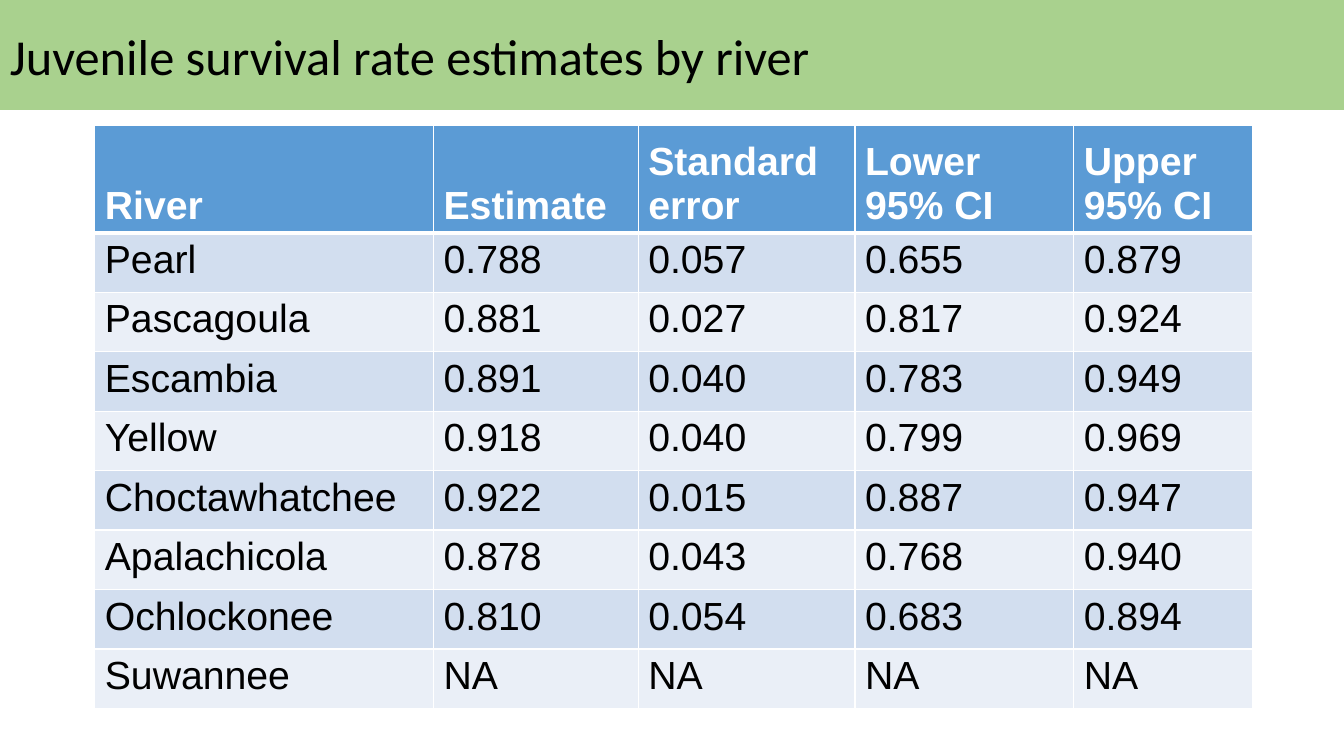
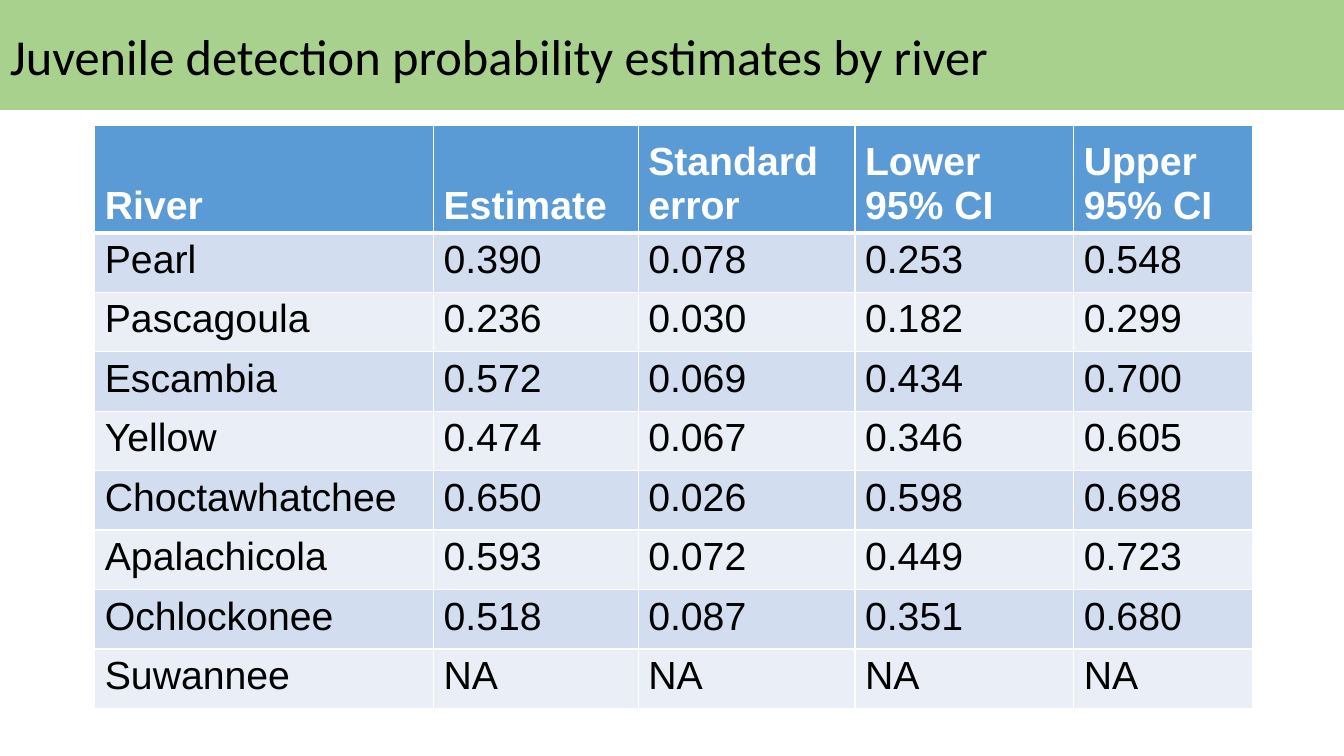
from lxml.etree import SubElement
from pptx import Presentation
from pptx.dml.color import RGBColor
from pptx.enum.shapes import MSO_SHAPE
from pptx.enum.text import MSO_ANCHOR, PP_ALIGN
from pptx.oxml.ns import qn
from pptx.util import Inches, Pt

BLACK, WHITE, GREEN, BLUE = "000000", "FFFFFF", "A9D18E", "5B9BD5"
ROW_BANDS = ("D2DEEF", "EAEFF7")
HEADINGS = ("River", "Estimate", "Standard error", "Lower 95% CI", "Upper 95% CI")
COLUMN_WIDTHS = (3.36, 2.03, 2.15, 2.17, 1.77)
HEADER_HEIGHT, ROW_HEIGHT = 1.07, 0.59

SURVIVAL = (
    ("Pearl", "0.788", "0.057", "0.655", "0.879"),
    ("Pascagoula", "0.881", "0.027", "0.817", "0.924"),
    ("Escambia", "0.891", "0.040", "0.783", "0.949"),
    ("Yellow", "0.918", "0.040", "0.799", "0.969"),
    ("Choctawhatchee", "0.922", "0.015", "0.887", "0.947"),
    ("Apalachicola", "0.878", "0.043", "0.768", "0.940"),
    ("Ochlockonee", "0.810", "0.054", "0.683", "0.894"),
    ("Suwannee", "NA", "NA", "NA", "NA"),
)
DETECTION = (
    ("Pearl", "0.390", "0.078", "0.253", "0.548"),
    ("Pascagoula", "0.236", "0.030", "0.182", "0.299"),
    ("Escambia", "0.572", "0.069", "0.434", "0.700"),
    ("Yellow", "0.474", "0.067", "0.346", "0.605"),
    ("Choctawhatchee", "0.650", "0.026", "0.598", "0.698"),
    ("Apalachicola", "0.593", "0.072", "0.449", "0.723"),
    ("Ochlockonee", "0.518", "0.087", "0.351", "0.680"),
    ("Suwannee", "NA", "NA", "NA", "NA"),
)


def rgb(value):
    return RGBColor.from_string(value)


class Deck:
    """Builds slides with a title band and a table of estimates."""

    def __init__(self):
        self.presentation = Presentation()
        self.presentation.slide_width = Inches(13.33)
        self.presentation.slide_height = Inches(7.5)

    def new_slide(self):
        self.slide = self.presentation.slides.add_slide(self.presentation.slide_layouts[6])

    def style_text(self, paragraph, font, size, color, bold=False):
        paragraph.alignment = PP_ALIGN.LEFT
        paragraph.font.name = font
        paragraph.font.size = Pt(size)
        paragraph.font.bold = bold
        paragraph.font.color.rgb = rgb(color)

    def title(self, text):
        band = self.slide.shapes.add_shape(
            MSO_SHAPE.RECTANGLE, 0, 0, self.presentation.slide_width, Inches(1.09))
        band.shadow.inherit = False
        band.fill.solid()
        band.fill.fore_color.rgb = rgb(GREEN)
        band.line.fill.background()
        frame = band.text_frame
        frame.word_wrap = True
        frame.vertical_anchor = MSO_ANCHOR.MIDDLE
        frame.text = text
        self.style_text(frame.paragraphs[0], "Calibri", 36, BLACK)

    def borders(self, cell, top, bottom):
        properties = cell._tc.get_or_add_tcPr()
        for side, width in (("L", 1), ("R", 1), ("T", top), ("B", bottom)):
            line = SubElement(properties, qn(f"a:ln{side}"), w=str(Pt(width)))
            SubElement(SubElement(line, qn("a:solidFill")), qn("a:srgbClr"), val=WHITE)

    def cell(self, cell, text, row):
        header = row == 0
        self.borders(cell, top=3 if row == 1 else 1, bottom=3 if header else 1)
        cell.fill.solid()
        cell.fill.fore_color.rgb = rgb(BLUE if header else ROW_BANDS[(row - 1) % 2])
        cell.vertical_anchor = MSO_ANCHOR.BOTTOM if header else MSO_ANCHOR.TOP
        cell.text = text
        self.style_text(cell.text_frame.paragraphs[0], "Arial", 28,
                        WHITE if header else BLACK, bold=header)

    def estimates(self, rivers):
        height = HEADER_HEIGHT + ROW_HEIGHT * len(rivers)
        table = self.slide.shapes.add_table(
            len(rivers) + 1, len(HEADINGS), Inches(0.94), Inches(1.24),
            Inches(sum(COLUMN_WIDTHS)), Inches(height)).table
        for column, width in zip(table.columns, COLUMN_WIDTHS):
            column.width = Inches(width)
        for row, values in enumerate((HEADINGS, *rivers)):
            table.rows[row].height = Inches(ROW_HEIGHT if row else HEADER_HEIGHT)
            for column, text in enumerate(values):
                self.cell(table.cell(row, column), text, row)


def main():
    deck = Deck()
    for title, rivers in (
        ("Juvenile survival rate estimates by river", SURVIVAL),
        ("Juvenile detection probability estimates by river", DETECTION),
    ):
        deck.new_slide()
        deck.title(title)
        deck.estimates(rivers)
    deck.presentation.save("out.pptx")


if __name__ == "__main__":
    main()
